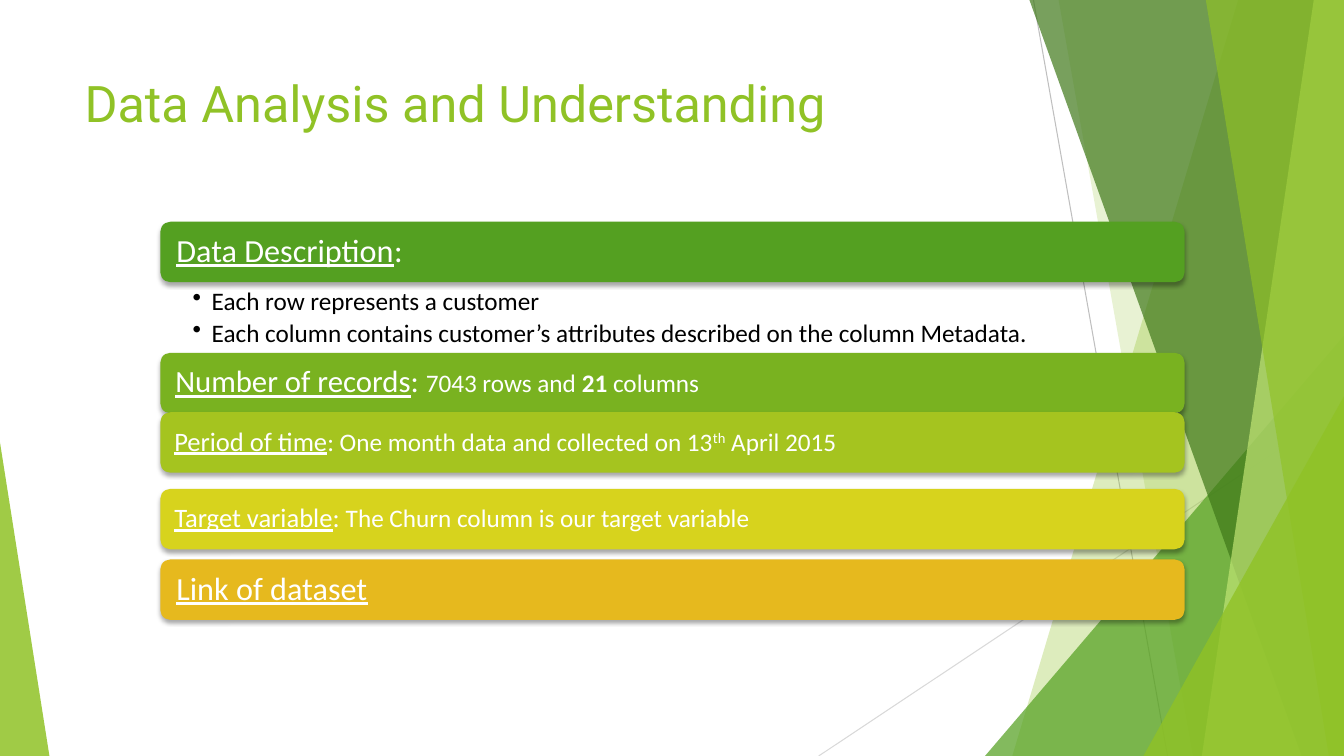
"""Build the data analysis and understanding slide."""
from dataclasses import dataclass

from lxml import etree
from pptx import Presentation
from pptx import util as u
from pptx.dml.color import RGBColor
from pptx.enum import shapes, text
from pptx.oxml.ns import qn
from pptx.shapes import autoshape as auto
from pptx.shapes import shapetree as tree
from pptx.text import text as prose

WIDE, HIGH = 13.33, 7.5
LEFT, SPAN, THICK = 1.59, 10.16, 0.6
WHITE = RGBColor(0xFF, 0xFF, 0xFF)
BLACK = RGBColor(0, 0, 0)
LIME = RGBColor(0x90, 0xC2, 0x26)
GREEN = RGBColor(0x54, 0xA0, 0x21)
DARK = RGBColor(0x3F, 0x78, 0x19)
PALE = RGBColor(0xC0, 0xE4, 0x74)
LEAF = RGBColor(0x79, 0xB2, 0x20)
OLIVE = RGBColor(0xA5, 0xC4, 0x1F)
YELLOW = RGBColor(0xD7, 0xD3, 0x1D)
GOLD = RGBColor(0xE6, 0xB9, 0x1E)
GREY = RGBColor(0xBF, 0xBF, 0xBF)
SILVER = RGBColor(0xD9, 0xD9, 0xD9)


@dataclass
class Ray:
    start: tuple[float, float]
    end: tuple[float, float]
    color: RGBColor


@dataclass
class Facet:
    top: float
    base: float
    color: RGBColor
    alpha: int


@dataclass
class Wedge:
    left: float
    top: float
    width: float
    apex: float
    color: RGBColor
    alpha: int


@dataclass
class Piece:
    words: str
    size: int = 18
    under: bool = False
    bold: bool = False
    lift: int = 0


@dataclass
class Bar:
    top: float
    color: RGBColor
    inset: float
    label: list[Piece]


RAYS = [
    Ray((10.25, 0), (11.58, HIGH), GREY),
    Ray((WIDE, 4.03), (8.12, HIGH), SILVER),
]
DECOR = [
    Facet(12.28, 10.04, LIME, 30),
    Facet(10.5, 11.83, LIME, 20),
    Wedge(9.77, 3.33, 3.56, 1, GREEN, 72),
    Facet(10.21, 12.91, DARK, 70),
    Facet(13.03, 11.92, PALE, 70),
    Facet(11.96, 13.18, LIME, 65),
    Wedge(11.34, 3.93, 1.99, 1, LIME, 80),
    Wedge(0, 4.39, 0.49, 0, LIME, 85),
]
BARS = [
    Bar(2.2, GREEN, 0.13, [Piece("Data Description", 23, True), Piece(":", 23)]),
    Bar(3.5, LEAF, 0.12, [
        Piece("Number of records", 22, True), Piece(": ", 22),
        Piece("7043 rows and "), Piece("21", bold=True), Piece(" columns")]),
    Bar(4.09, OLIVE, 0.11, [
        Piece("Period of time", 19, True),
        Piece(": One month data and collected on 13"),
        Piece("th", lift=30), Piece(" April 2015")]),
    Bar(4.85, YELLOW, 0.11, [
        Piece("Target variable", 19, True), Piece(": ", 19),
        Piece("The Churn column is our target variable")]),
    Bar(5.55, GOLD, 0.13, [Piece("Link of dataset", 23, True)]),
]
NOTES = [
    "Each row represents a customer",
    "Each column contains customer’s attributes described on the column Metadata.",
]


def paint(shape: auto.Shape, color: RGBColor, alpha: int = 100) -> None:
    """Fill a shape without outline or shadow."""
    shape.shadow.inherit = False
    shape.fill.solid()
    shape.fill.fore_color.rgb = color
    shape.line.fill.background()
    if alpha < 100:
        tint = shape._element.spPr.find(".//" + qn("a:srgbClr"))
        etree.SubElement(tint, qn("a:alpha"), val=str(alpha * 1000))


def shade(shape: auto.Shape) -> None:
    """Cast a soft shadow straight down."""
    glow = shape._element.spPr.find(qn("a:effectLst"))
    cast = etree.SubElement(glow, qn("a:outerShdw"), blurRad=str(u.Pt(3)),
                            dist=str(u.Pt(2)), dir="5400000", rotWithShape="0")
    tint = etree.SubElement(cast, qn("a:srgbClr"), val=str(BLACK))
    etree.SubElement(tint, qn("a:alpha"), val="35000")


def style(font: prose.Font, name: str, size: int, color: RGBColor) -> None:
    """Set the face, size and colour of a font."""
    font.name, font.size = name, u.Pt(size)
    font.color.rgb = color


def pad(frame: prose.TextFrame, left: float, top: float, right: float) -> None:
    """Wrap a frame and set its margins."""
    frame.word_wrap = True
    frame.margin_left, frame.margin_right = u.Inches(left), u.Inches(right)
    frame.margin_top = frame.margin_bottom = u.Inches(top)


def draw_ray(draw: tree.SlideShapes, ray: Ray) -> None:
    """Draw a thin background line."""
    ends = [u.Inches(n) for n in ray.start + ray.end]
    line = draw.add_connector(shapes.MSO_CONNECTOR.STRAIGHT, *ends)
    line.line.color.rgb = ray.color
    line.line.width = u.Pt(0.75)
    etree.SubElement(line._element.spPr, qn("a:effectLst"))


def draw_facet(draw: tree.SlideShapes, facet: Facet) -> None:
    """Draw a full-height pane that ends at the right edge."""
    spots = [(facet.top, 0), (WIDE, 0), (WIDE, HIGH), (facet.base, HIGH)]
    first, *rest = [(u.Inches(x), u.Inches(y)) for x, y in spots]
    pen = draw.build_freeform(*first)
    pen.add_line_segments(rest)
    paint(pen.convert_to_shape(), facet.color, facet.alpha)


def draw_wedge(draw: tree.SlideShapes, wedge: Wedge) -> None:
    """Draw a right triangle that stands on the bottom edge."""
    shape = draw.add_shape(
        shapes.MSO_SHAPE.ISOSCELES_TRIANGLE, u.Inches(wedge.left),
        u.Inches(wedge.top), u.Inches(wedge.width), u.Inches(HIGH - wedge.top))
    shape.adjustments[0] = wedge.apex
    paint(shape, wedge.color, wedge.alpha)


def draw_bar(draw: tree.SlideShapes, bar: Bar) -> None:
    """Draw a rounded bar with its label."""
    shape = draw.add_shape(
        shapes.MSO_SHAPE.ROUNDED_RECTANGLE, u.Inches(LEFT),
        u.Inches(bar.top), u.Inches(SPAN), u.Inches(THICK))
    paint(shape, bar.color)
    shade(shape)
    frame = shape.text_frame
    pad(frame, bar.inset, bar.inset, bar.inset)
    frame.vertical_anchor = text.MSO_ANCHOR.MIDDLE
    para = frame.paragraphs[0]
    para.alignment, para.line_spacing = text.PP_ALIGN.LEFT, 0.9
    for piece in bar.label:
        run = para.add_run()
        run.text = piece.words
        style(run.font, "Calibri", piece.size, WHITE)
        run.font.underline, run.font.bold = piece.under, piece.bold
        if piece.lift:
            run.font._element.set("baseline", str(piece.lift * 1000))


def draw_title(draw: tree.SlideShapes) -> None:
    """Write the slide title."""
    box = draw.add_textbox(*map(u.Inches, (0.74, 0.67, 9.4, 1.44)))
    box.text_frame.text = "Data Analysis and Understanding"
    box.text_frame.word_wrap = True
    style(box.text_frame.paragraphs[0].font, "Roboto", 36, LIME)


def draw_notes(draw: tree.SlideShapes) -> None:
    """Write the bullets under the first bar."""
    box = draw.add_textbox(*map(u.Inches, (LEFT, 2.83, SPAN, 0.66)))
    frame = box.text_frame
    pad(frame, 0.32, 0.03, 0.14)
    frame.text = "\n".join(NOTES)
    for para in frame.paragraphs:
        para.line_spacing, para.space_after = 0.9, u.Pt(3.6)
        props = para._p.get_or_add_pPr()
        props.set("marL", str(u.Inches(0.19)))
        props.set("indent", str(-u.Inches(0.19)))
        etree.SubElement(props, qn("a:buChar"), char="•")
        style(para.font, "Calibri", 18, BLACK)


def main() -> None:
    """Build and save the deck."""
    deck = Presentation()
    deck.slide_width, deck.slide_height = u.Inches(WIDE), u.Inches(HIGH)
    draw = deck.slides.add_slide(deck.slide_layouts[6]).shapes
    for ray in RAYS:
        draw_ray(draw, ray)
    for item in DECOR:
        if isinstance(item, Facet):
            draw_facet(draw, item)
        else:
            draw_wedge(draw, item)
    draw_title(draw)
    for bar in BARS:
        draw_bar(draw, bar)
    draw_notes(draw)
    deck.save("out.pptx")


if __name__ == "__main__":
    main()
